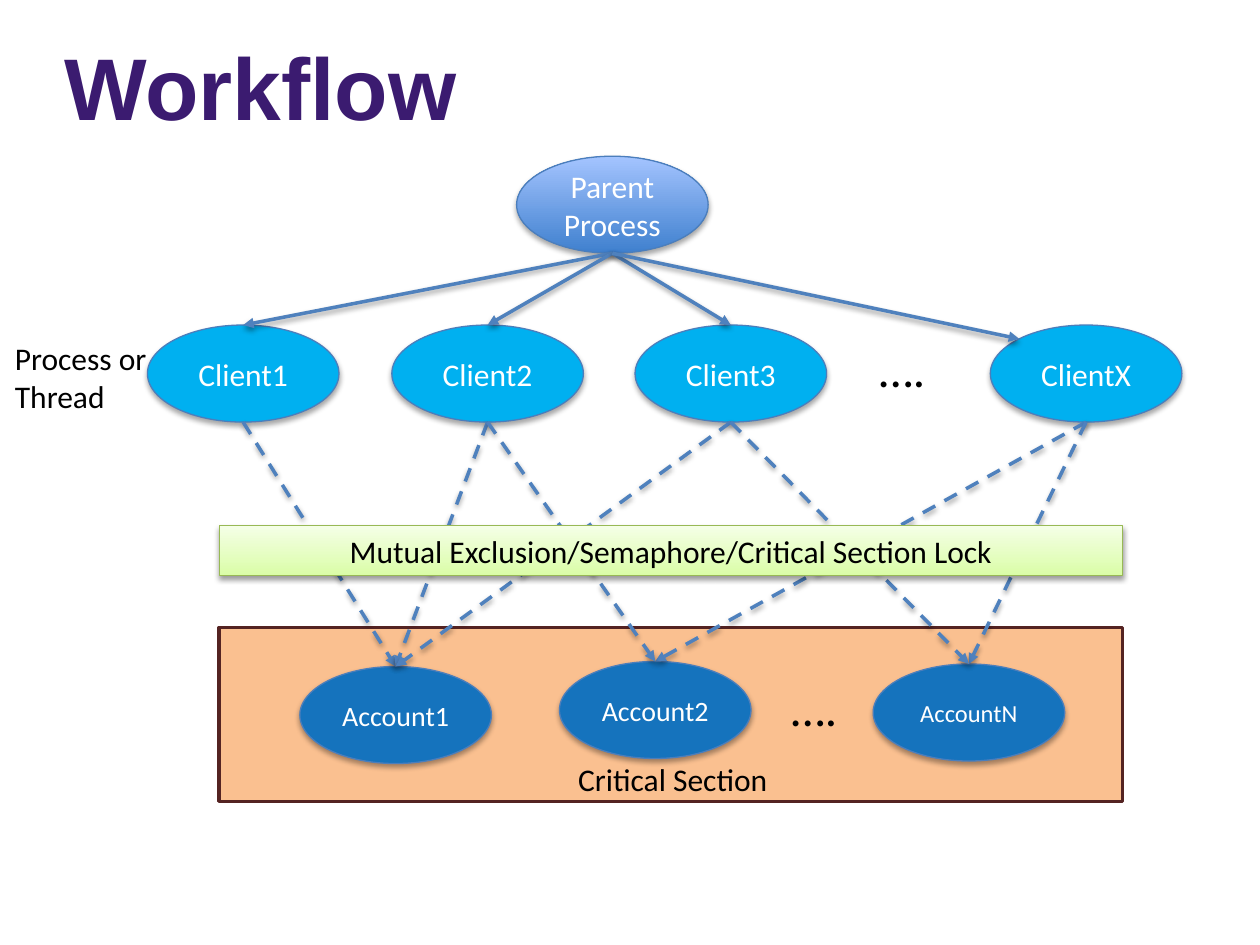
import pptx
import pptx.util
import pptx.dml.color
import pptx.enum.shapes
import pptx.enum.text
import pptx.enum.dml
import pptx.oxml
import pptx.oxml.ns

Inches, Pt = pptx.util.Inches, pptx.util.Pt
Shape = pptx.enum.shapes.MSO_SHAPE
Align = pptx.enum.text.PP_ALIGN
Anchor = pptx.enum.text.MSO_ANCHOR

COLORS = {
    "title": "3B1B70", "white": "FFFFFF", "black": "000000",
    "peach": "FAC090", "brown": "542322", "client": "00B0F0",
    "account": "1573BD", "edge": "4B7EBC", "arrow": "4F81BD",
    "deep": "3F80CE", "pale": "A4C4FF", "lime": "DAFDA7",
    "mint": "F5FFE7", "green": "98B955",
}
WIDE, HIGH = 1.52, 0.77


def color(name):
    """Look up a named colour."""
    return pptx.dml.color.RGBColor.from_string(COLORS[name])


class Chart:
    """Style and drawing methods for the workflow slide."""

    def __init__(self, slide):
        """Keep the slide to draw on."""
        self.slide = slide

    def words(self, frame, text, size, tint, align=Align.LEFT, font="Calibri"):
        """Put one styled paragraph in a text frame."""
        frame.text = text
        par = frame.paragraphs[0]
        par.alignment = align
        par.font.size = Pt(size)
        par.font.name = font
        par.font.color.rgb = color(tint)
        return par

    def title(self, text, left, top, width, height):
        """Place and format the title."""
        box = self.slide.shapes.title
        box.left, box.top = Inches(left), Inches(top)
        box.width, box.height = Inches(width), Inches(height)
        frame = box.text_frame
        frame.auto_size = pptx.enum.text.MSO_AUTO_SIZE.NONE
        frame.vertical_anchor = Anchor.TOP
        par = self.words(frame, text, 50, "title", font="Arial")
        par.font.bold = True
        par.space_after = Pt(12)

    def shade(self, item, alpha, gap):
        """Give a shape or connector a soft shadow below it."""
        space = pptx.oxml.ns.nsdecls("a")
        item._element.spPr.append(pptx.oxml.parse_xml(
            f'<a:effectLst {space}><a:outerShdw blurRad="{Pt(3.1)}" '
            f'dist="{Pt(gap)}" dir="5400000" rotWithShape="0">'
            f'<a:srgbClr val="{COLORS["black"]}"><a:alpha val="{alpha}000"/>'
            '</a:srgbClr></a:outerShdw></a:effectLst>'))

    def shape(self, kind, left, top, width, height, fill, edge, line=0.75):
        """Add a preset shape; a pair of fills makes a gradient, bottom first."""
        item = self.slide.shapes.add_shape(
            kind, Inches(left), Inches(top), Inches(width), Inches(height))
        if isinstance(fill, tuple):
            item.fill.gradient()
            item.fill.gradient_angle = 90
            for stop, name, spot in zip(item.fill.gradient_stops, fill, (0, 1)):
                stop.color.rgb = color(name)
                stop.position = spot
        else:
            item.fill.solid()
            item.fill.fore_color.rgb = color(fill)
        item.line.color.rgb = color(edge)
        item.line.width = Pt(line)
        return item

    def area(self, *place):
        """Add the flat critical section area."""
        item = self.shape(Shape.RECTANGLE, *place, "peach", "brown", 2)
        item.shadow.inherit = False

    def node(self, text, left, top, fill, size=18):
        """Add a labelled ellipse."""
        item = self.shape(Shape.OVAL, left, top, WIDE, HIGH, fill, "edge")
        self.shade(item, 35, 1.8)
        item.text_frame.vertical_anchor = Anchor.MIDDLE
        self.words(item.text_frame, text, size, "white", Align.CENTER)

    def bar(self, text, *place):
        """Add the lock bar."""
        item = self.shape(Shape.RECTANGLE, *place, ("lime", "mint"), "green")
        self.shade(item, 38, 1.6)
        item.text_frame.vertical_anchor = Anchor.TOP
        self.words(item.text_frame, text, 18, "black", Align.CENTER)

    def label(self, text, left, top, width, height, size=18, wrap=False):
        """Add a plain text box."""
        box = self.slide.shapes.add_textbox(
            Inches(left), Inches(top), Inches(width), Inches(height))
        box.text_frame.word_wrap = wrap
        self.words(box.text_frame, text, size, "black")

    def arrow(self, start, end, dash=False):
        """Add an arrow between two points."""
        item = self.slide.shapes.add_connector(
            pptx.enum.shapes.MSO_CONNECTOR.STRAIGHT,
            *(Inches(v) for v in (*start, *end)))
        item.line.color.rgb = color("arrow")
        item.line.width = Pt(2)
        if dash:
            item.line.dash_style = pptx.enum.dml.MSO_LINE.DASH
        item._element.spPr.find(pptx.oxml.ns.qn("a:ln")).append(
            pptx.oxml.parse_xml(
                f'<a:tailEnd {pptx.oxml.ns.nsdecls("a")} type="triangle"/>'))
        self.shade(item, 38, 1.6)


def foot(left, top):
    """Bottom centre of an ellipse."""
    return left + WIDE / 2, top + HIGH


def head(left, top):
    """Top centre of an ellipse."""
    return left + WIDE / 2, top


def main():
    """Build and save the slide."""
    deck = pptx.Presentation()
    deck.slide_width, deck.slide_height = Inches(10), Inches(7.5)
    art = Chart(deck.slides.add_slide(deck.slide_layouts[5]))

    root = (4.1, 1.24)
    row = 2.58
    clients = {"Client1": 1.17, "Client2": 3.11, "Client3": 5.04,
               "ClientX": 7.86}
    accounts = {"Account1": (2.38, 5.29, 16), "Account2": (4.44, 5.25, 16),
                "AccountN": (6.93, 5.27, 14)}
    links = [("Client1", "Account1"), ("Client2", "Account1"),
             ("Client3", "Account1"), ("ClientX", "Account2"),
             ("ClientX", "AccountN"), ("Client3", "AccountN"),
             ("Client2", "Account2")]

    art.title("Workflow", 0.41, 0.21, 8.76, 0.94)
    art.area(1.74, 4.98, 7.17, 1.38)
    art.node("Parent Process", *root, ("deep", "pale"))
    for name, left in clients.items():
        art.node(name, left, row, "client")
    for name, (left, top, size) in accounts.items():
        art.node(name, left, top, "account", size)

    for client, account in links:
        art.arrow(foot(clients[client], row), head(*accounts[account][:2]),
                  dash=True)
    art.label("Critical Section", 4.49, 5.98, 1.72, 0.4)
    for name, left in clients.items():
        end = (8.09, 2.69) if name == "ClientX" else head(left, row)
        art.arrow(foot(*root), end)
    for left, top in ((6.88, 2.64), (6.18, 5.33)):
        art.label("….", left, top, 0.57, 0.57, 28)
    art.label("Process or Thread", 0.02, 2.64, 1.33, 0.71, wrap=True)
    art.bar("Mutual Exclusion/Semaphore/Critical Section Lock",
            1.74, 4.17, 7.17, 0.4)
    deck.save("out.pptx")


main()
